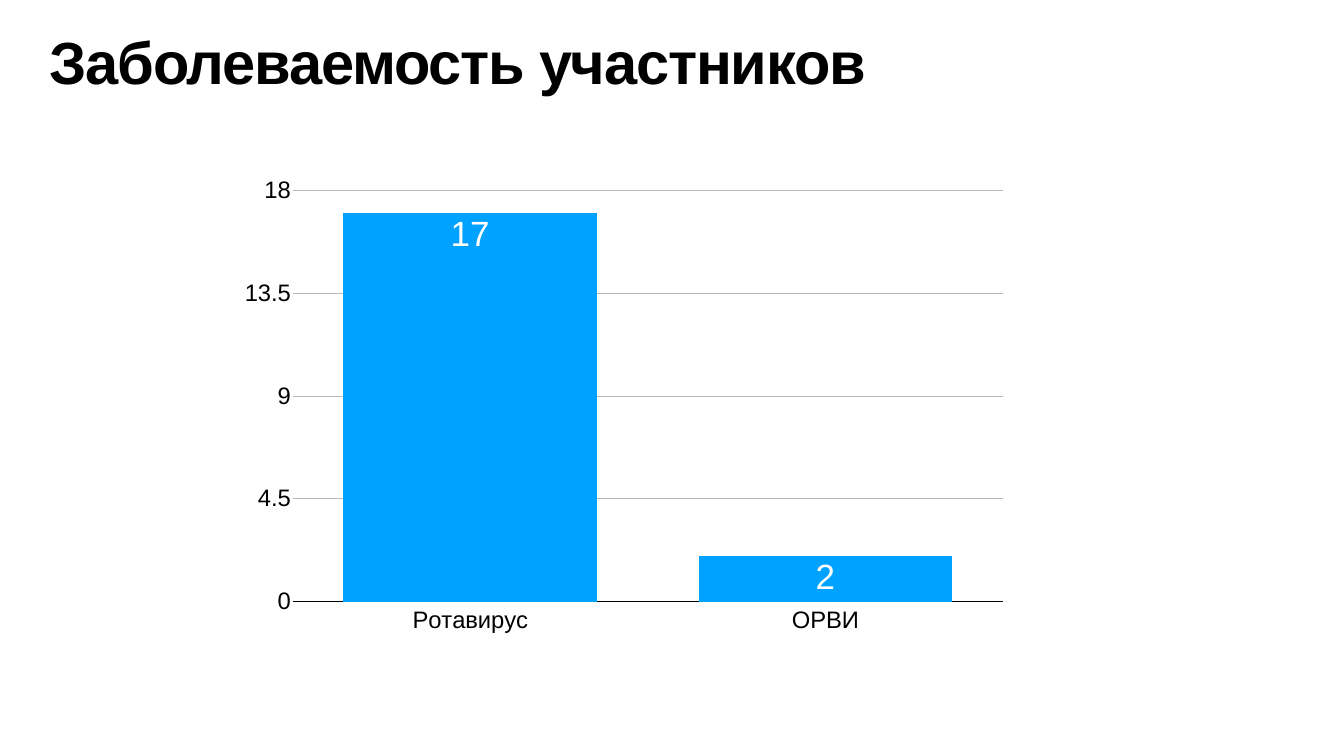
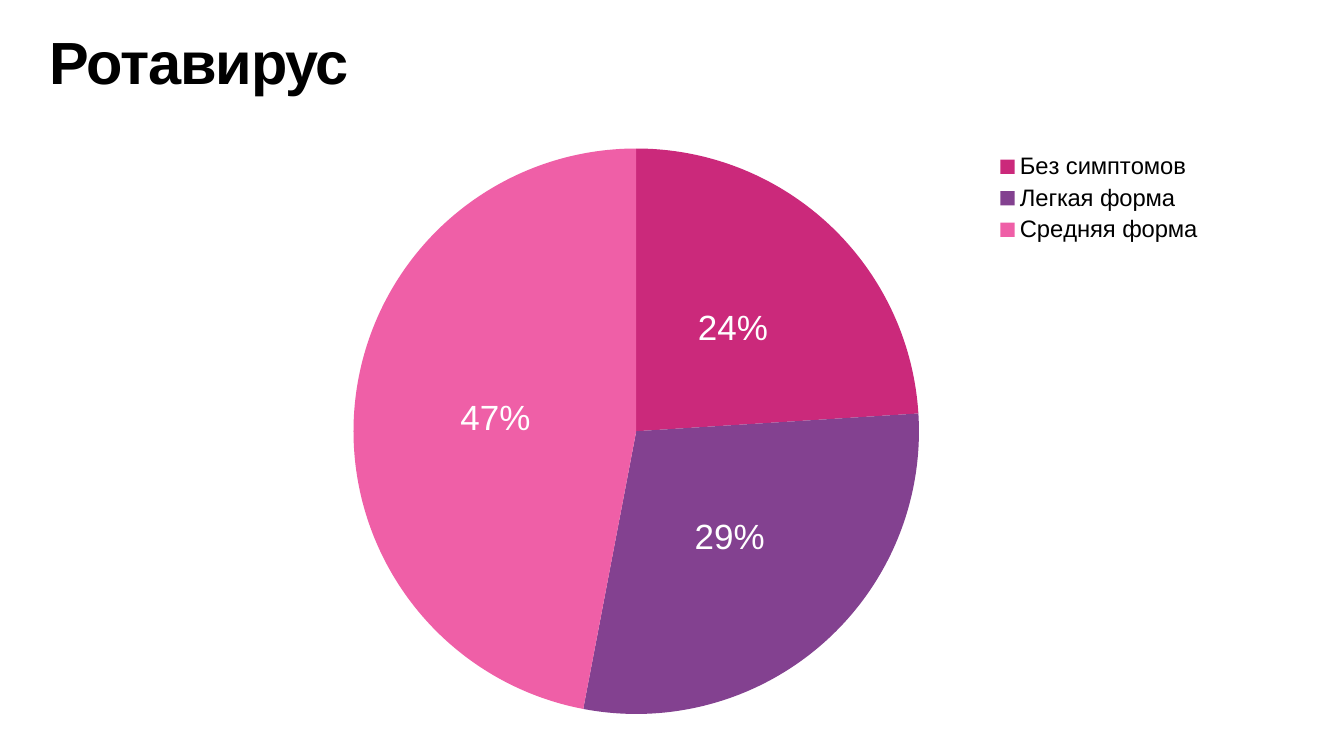
import pptx
import pptx.util
import pptx.chart.data
import pptx.dml.color
import pptx.enum.chart
import pptx.enum.text
import pptx.oxml
import pptx.oxml.ns

PX = 12700  # one px is 1/72 inch
FONT = "Arial"
BLACK, WHITE, GRAY, BLUE = "000000", "FFFFFF", "B8B8B8", "00A2FF"
PINKS = ["CB297B", "834190", "EF5FA7"]
KIND = pptx.enum.chart.XL_CHART_TYPE
SPOT = pptx.enum.chart.XL_LABEL_POSITION
TICK = pptx.enum.chart.XL_TICK_MARK


def px(num):
    return pptx.util.Emu(num * PX)


def color(code):
    return pptx.dml.color.RGBColor.from_string(code)


def paint(fill, code):
    fill.solid()
    fill.fore_color.rgb = color(code)


def layout(**spots):
    """Make a manual chart layout from fractions of the chart's size."""
    tag = pptx.oxml.ns.qn
    root = pptx.oxml.parse_xml(f"<c:layout {pptx.oxml.ns.nsdecls('c')}><c:manualLayout/></c:layout>")
    parts = {"xMode": "edge", "yMode": "edge", **spots}
    if "w" in spots:
        parts = {"layoutTarget": "inner", **parts}
    for name, val in parts.items():
        root[0].append(root.makeelement(tag("c:" + name), {"val": str(val)}))
    return root


def drop(parent):
    for old in parent.findall(pptx.oxml.ns.qn("c:layout")):
        parent.remove(old)


class Deck:
    def __init__(self, wide, high):
        self.prs = pptx.Presentation()
        self.prs.slide_width, self.prs.slide_height = px(wide), px(high)
        self.slide = None

    def page(self):
        self.slide = self.prs.slides.add_slide(self.prs.slide_layouts[6])
        paint(self.slide.background.fill, WHITE)

    def style(self, font, size, code=BLACK, bold=False):
        font.name, font.size, font.bold = FONT, pptx.util.Pt(size), bold
        font.color.rgb = color(code)

    def title(self, text):
        box = self.slide.shapes.add_textbox(px(67), px(45), px(1730), px(113))
        frame = box.text_frame
        frame.word_wrap = True
        frame.vertical_anchor = pptx.enum.text.MSO_ANCHOR.TOP
        frame.margin_left = frame.margin_right = frame.margin_bottom = px(4)
        frame.margin_top = px(10)
        para = frame.paragraphs[0]
        para.line_spacing = 0.8
        run = para.add_run()
        run.text = text
        self.style(run.font, 85, bold=True)
        run.font._element.set("spc", "-170")

    def chart(self, kind, at, cats, vals, plot):
        data = pptx.chart.data.CategoryChartData()
        data.categories = cats
        data.add_series("Series 1", vals)
        chart = self.slide.shapes.add_chart(kind, *map(px, at), data).chart
        chart.has_title = chart.has_legend = False
        self.style(chart.font, 10, "5E5E5E")
        area = chart._chartSpace.chart.plotArea
        drop(area)
        area.insert(0, layout(**dict(zip("xywh", plot))))
        return chart

    def labels(self, plot, spot, form):
        plot.has_data_labels = True
        tags = plot.data_labels
        self.style(tags.font, 50, WHITE)
        tags.number_format, tags.number_format_is_linked = form, False
        tags.position = spot
        tags.show_percentage = form.endswith("%")
        tags.show_value = not tags.show_percentage

    def line(self, line, code):
        paint(line.fill, code)
        line.width = pptx.util.Pt(1)

    def bars(self, at, cats, vals, plot, top, step):
        chart = self.chart(KIND.COLUMN_CLUSTERED, at, cats, vals, plot)
        bars = chart.plots[0]
        bars.gap_width, bars.overlap, bars.vary_by_categories = 40, -10, False
        paint(bars.series[0].format.fill, BLUE)
        self.labels(bars, SPOT.INSIDE_END, "#,##0")
        base, side = chart.category_axis, chart.value_axis
        for axis in (base, side):
            axis.major_tick_mark = axis.minor_tick_mark = TICK.NONE
            self.style(axis.tick_labels.font, 34)
            axis.tick_labels.number_format = "General"
            axis.tick_labels.number_format_is_linked = False
        base.tick_label_position = pptx.enum.chart.XL_TICK_LABEL_POSITION.LOW
        self.line(base.format.line, BLACK)
        side.format.line.fill.background()
        side.minimum_scale, side.maximum_scale, side.major_unit = 0, top, step
        side.has_major_gridlines = True
        self.line(side.major_gridlines.format.line, GRAY)

    def pie(self, at, cats, vals, plot, key):
        chart = self.chart(KIND.PIE, at, cats, vals, plot)
        pie = chart.plots[0]
        pie.vary_by_categories = True
        for num, code in enumerate(PINKS):
            look = pie.series[0].points[num].format
            paint(look.fill, code)
            look.line.fill.background()
        self.labels(pie, SPOT.CENTER, "#,##0%")
        chart.has_legend = True
        legend = chart.legend
        legend.position = pptx.enum.chart.XL_LEGEND_POSITION.RIGHT
        legend.include_in_layout = True
        self.style(legend.font, 34)
        root = legend._element
        drop(root)
        root.find(pptx.oxml.ns.qn("c:legendPos")).addnext(layout(**dict(zip("xy", key))))


def main():
    deck = Deck(1920, 1080)
    deck.page()
    deck.title("Заболеваемость участников")
    deck.bars((329, 230, 1115, 692), ["Ротавирус", "ОРВИ"], [17, 2],
              (0.08, 0.06, 0.91, 0.85), 18, 4.5)
    deck.page()
    deck.pie((490, 204, 1289, 816), ["Без симптомов", "Легкая форма", "Средняя форма"],
             [24, 29, 47], (0.01, 0.01, 0.63, 0.99), (0.72, 0.01))
    deck.title("Ротавирус")
    deck.prs.save("out.pptx")


if __name__ == "__main__":
    main()
